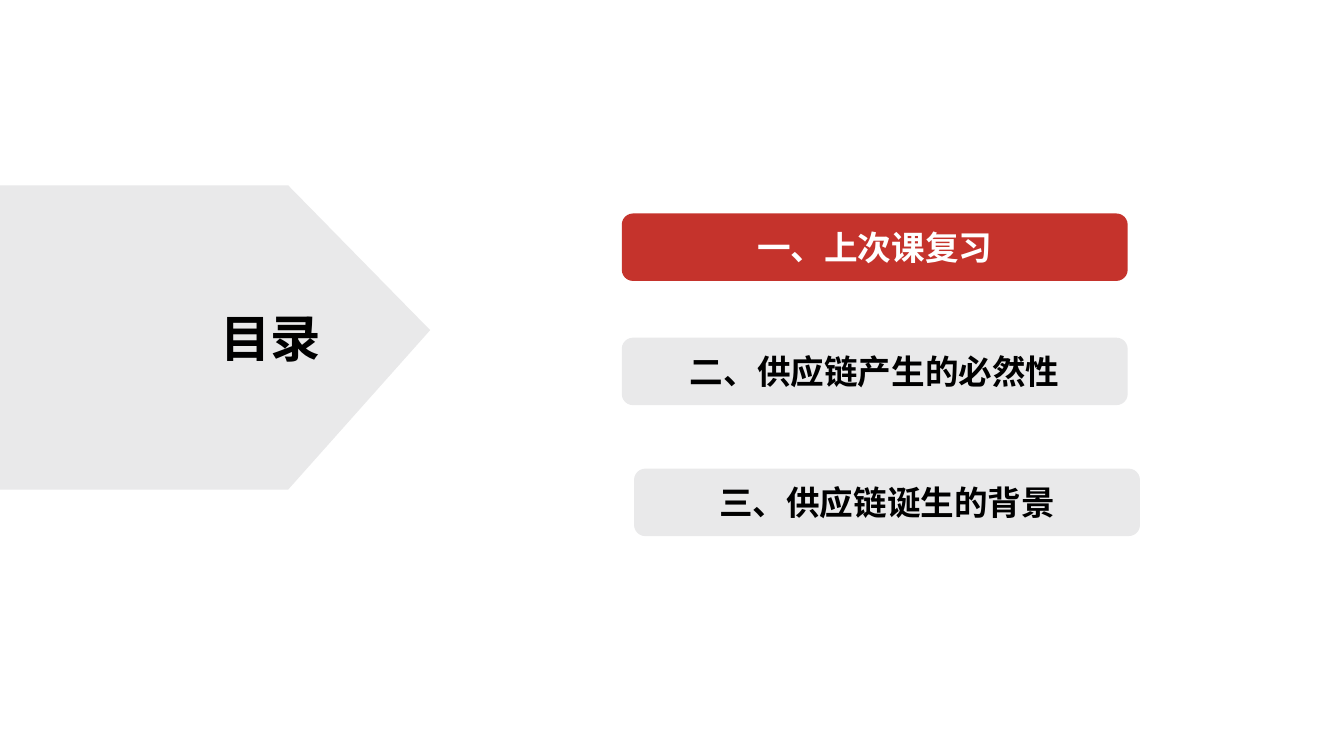
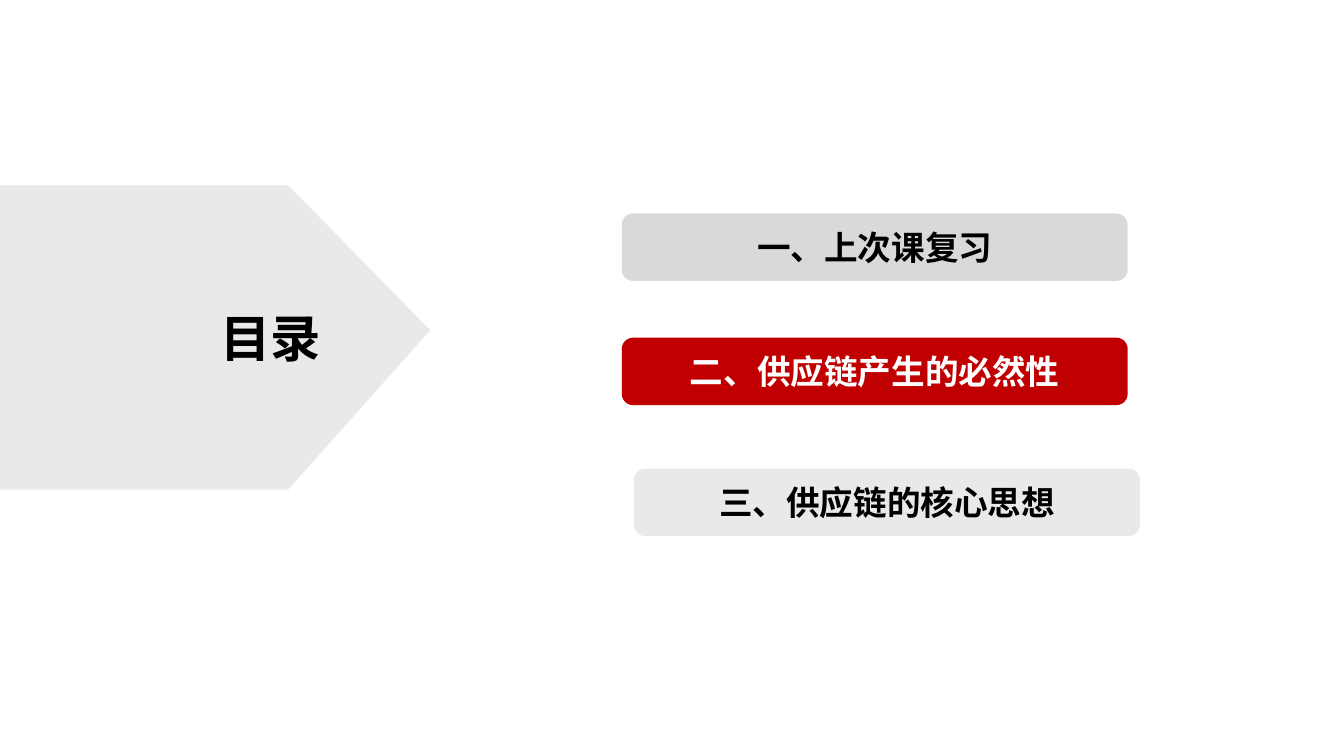
import lxml.etree
import pptx
import pptx.dml.color
import pptx.enum.shapes
import pptx.enum.text
import pptx.oxml.ns
import pptx.util

Cm = pptx.util.Cm
RGBColor = pptx.dml.color.RGBColor
MSO_SHAPE = pptx.enum.shapes.MSO_SHAPE

BLACK = RGBColor(0x00, 0x00, 0x00)
WHITE = RGBColor(0xFF, 0xFF, 0xFF)
LIGHT_GREY = RGBColor(0xE9, 0xE9, 0xEA)
MID_GREY = RGBColor(0xD9, 0xD9, 0xD9)
BRICK_RED = RGBColor(0xC5, 0x33, 0x2C)
DARK_RED = RGBColor(0xC0, 0x00, 0x00)

ENTRY_POSITIONS = [(15.67, 5.38), (15.67, 8.51), (15.98, 11.81)]

# One agenda per slide: text, fill and text colour of each entry
AGENDAS = [
    [
        ("一、上次课复习", BRICK_RED, WHITE),
        ("二、供应链产生的必然性", LIGHT_GREY, BLACK),
        ("三、供应链诞生的背景", LIGHT_GREY, BLACK),
    ],
    [
        ("一、上次课复习", MID_GREY, BLACK),
        ("二、供应链产生的必然性", DARK_RED, WHITE),
        ("三、供应链的核心思想", LIGHT_GREY, BLACK),
    ],
]


class AgendaDeck:
    font_name = "Noto Sans CJK SC"
    title_size = pptx.util.Pt(36)
    entry_size = pptx.util.Pt(24)

    def __init__(self):
        self.presentation = pptx.Presentation()
        self.presentation.slide_width = Cm(33.87)
        self.presentation.slide_height = Cm(19.05)
        self.slide = None

    def add_slide(self):
        blank_layout = self.presentation.slide_layouts[6]
        self.slide = self.presentation.slides.add_slide(blank_layout)

    def set_text(self, paragraph, text, size, color):
        paragraph.text = text
        font = paragraph.font
        font.name = self.font_name
        font.size = size
        font.bold = True
        font.color.rgb = color
        # Chinese characters take the East Asian typeface
        properties = paragraph._p.get_or_add_pPr().get_or_add_defRPr()
        lxml.etree.SubElement(
            properties, pptx.oxml.ns.qn("a:ea"), typeface=self.font_name)

    def add_filled(self, shapes, kind, left, top, width, height, fill):
        shape = shapes.add_shape(kind, Cm(left), Cm(top), Cm(width), Cm(height))
        shape.shadow.inherit = False
        shape.fill.solid()
        shape.fill.fore_color.rgb = fill
        shape.line.fill.background()
        return shape

    def add_arrow_panel(self, top=4.67, body=7.26, height=7.67, tip=3.58):
        """Draw a panel from the left edge that ends in a pointed tip."""
        shapes = self.slide.shapes.add_group_shape().shapes
        self.add_filled(
            shapes, MSO_SHAPE.RECTANGLE, 0, top, body, height, LIGHT_GREY)
        # Before its quarter turn the triangle lies flat around the same centre
        triangle = self.add_filled(
            shapes, MSO_SHAPE.ISOSCELES_TRIANGLE,
            body + (tip - height) / 2, top + (height - tip) / 2,
            height, tip, LIGHT_GREY)
        triangle.adjustments[0] = 0.476
        triangle.rotation = 90

    def add_title(self, text):
        box = self.slide.shapes.add_textbox(Cm(5.31), Cm(7.62), Cm(3.07), Cm(1.8))
        frame = box.text_frame
        frame.word_wrap = False
        frame.auto_size = pptx.enum.text.MSO_AUTO_SIZE.SHAPE_TO_FIT_TEXT
        self.set_text(frame.paragraphs[0], text, self.title_size, BLACK)

    def add_entry(self, left, top, text, fill, color):
        shape = self.add_filled(
            self.slide.shapes, MSO_SHAPE.ROUNDED_RECTANGLE,
            left, top, 12.75, 1.7, fill)
        frame = shape.text_frame
        frame.vertical_anchor = pptx.enum.text.MSO_ANCHOR.MIDDLE
        paragraph = frame.paragraphs[0]
        paragraph.alignment = pptx.enum.text.PP_ALIGN.CENTER
        self.set_text(paragraph, text, self.entry_size, color)


def main():
    deck = AgendaDeck()
    for agenda in AGENDAS:
        deck.add_slide()
        deck.add_arrow_panel()
        deck.add_title("目录")
        for (left, top), (text, fill, color) in zip(ENTRY_POSITIONS, agenda):
            deck.add_entry(left, top, text, fill, color)
    deck.presentation.save("out.pptx")


if __name__ == "__main__":
    main()
